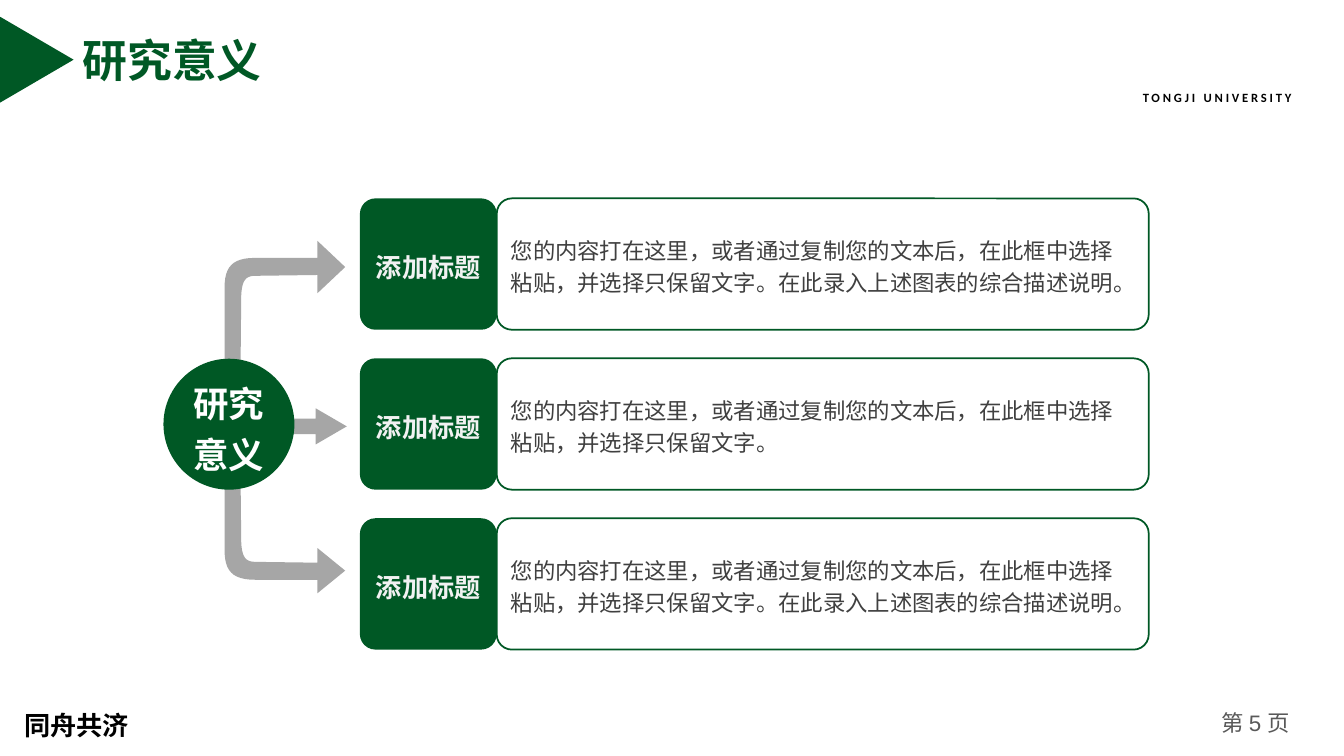
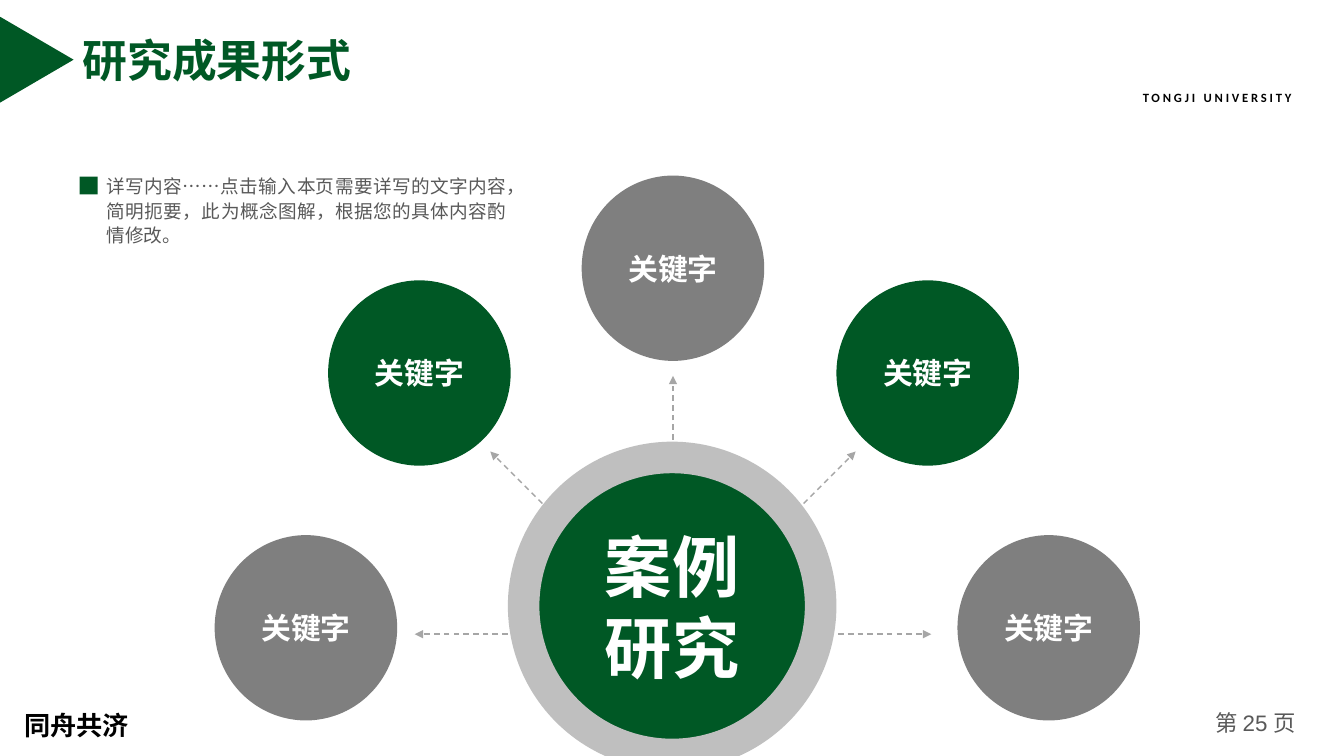
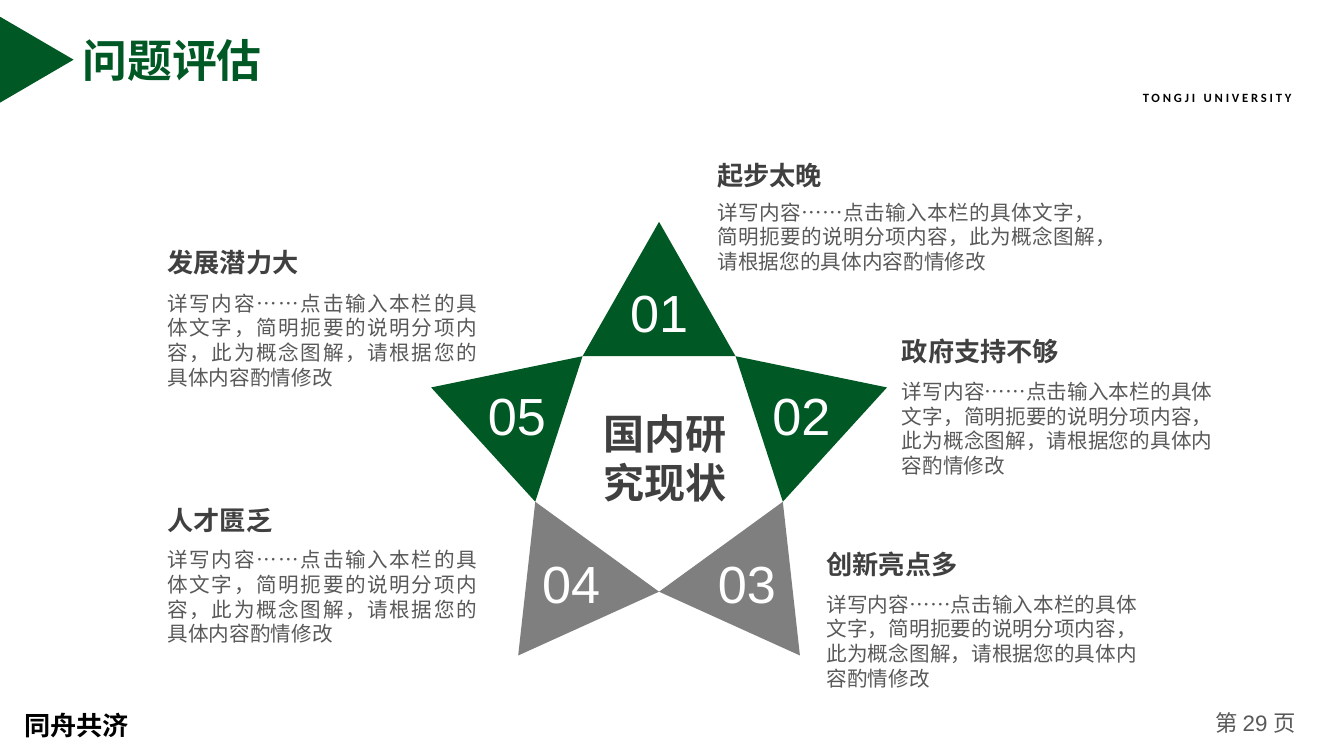
import math

import pptx
import pptx.dml.color
import pptx.enum.dml
import pptx.enum.shapes
import pptx.enum.text
import pptx.oxml.ns
import pptx.util
from lxml import etree

Cm = pptx.util.Cm
Pt = pptx.util.Pt
SHAPE = pptx.enum.shapes.MSO_SHAPE
ALIGN = pptx.enum.text.PP_ALIGN
ANCHOR = pptx.enum.text.MSO_ANCHOR
qn = pptx.oxml.ns.qn

HAN = "Noto Sans CJK SC"
COLORS = {
    "green": "005825", "grey": "7F7F7F", "arrow": "A6A6A6", "ring": "BFBFBF",
    "dark": "404040", "body": "595959", "pale": "F2F2F2",
    "white": "FFFFFF", "black": "000000",
}
NONE = (0, 0)
PAD = (0.25, 0.13)


def tint(name):
    return pptx.dml.color.RGBColor.from_string(COLORS[name])


def write(frame, text, size, color, bold=False, align=ALIGN.LEFT, font=HAN,
          space=None, inset=PAD, anchor=ANCHOR.TOP, track=0):
    """Fill a frame with one paragraph; text is a string or (string, font) pairs."""
    frame.word_wrap = True
    frame.vertical_anchor = anchor
    frame.margin_left = frame.margin_right = Cm(inset[0])
    frame.margin_top = frame.margin_bottom = Cm(inset[1])
    para = frame.paragraphs[0]
    para.alignment = align
    if space:
        para.line_spacing = space
    for words, face in [(text, font)] if isinstance(text, str) else text:
        run = para.add_run()
        run.text = words
        run.font.name = face
        run.font.size = Pt(size)
        run.font.bold = bold
        run.font.color.rgb = tint(color)
        props = run.font._rPr
        props.set("lang", "zh-CN")
        if track:
            props.set("spc", str(track * 100))
        etree.SubElement(props, qn("a:ea")).set("typeface", HAN)


def label(slide, x, y, w, h, text, size, color, **style):
    box = slide.shapes.add_textbox(Cm(x), Cm(y), Cm(w), Cm(h))
    write(box.text_frame, text, size, color, **style)


def paint(shape, fill, line=None):
    shape.shadow.inherit = False
    if fill:
        shape.fill.solid()
        shape.fill.fore_color.rgb = tint(fill)
    else:
        shape.fill.background()
    if line:
        shape.line.color.rgb = tint(line)
        shape.line.width = Pt(1.25)
    else:
        shape.line.fill.background()


def block(slide, kind, x, y, w, h, fill, line=None, adjust=()):
    shape = slide.shapes.add_shape(kind, Cm(x), Cm(y), Cm(w), Cm(h))
    for i, value in enumerate(adjust):
        shape.adjustments[i] = value
    paint(shape, fill, line)
    return shape


def disc(slide, x, y, w, h, fill, text, size, **style):
    """Oval centred on x, y with a bold white label."""
    oval = block(slide, SHAPE.OVAL, x - w / 2, y - h / 2, w, h, fill)
    write(oval.text_frame, text, size, "white", bold=True,
          align=ALIGN.CENTER, anchor=ANCHOR.MIDDLE, **style)


def outline(slide, points, fill):
    first, *rest = [(Cm(x), Cm(y)) for x, y in points]
    form = slide.shapes.build_freeform(*first)
    form.add_line_segments(rest, close=True)
    paint(form.convert_to_shape(), fill)


def curve(a, b, c, d, steps=12):
    """Points along a cubic curve from a to d."""
    points = []
    for i in range(steps + 1):
        t = i / steps
        parts = ((1 - t) ** 3, 3 * t * (1 - t) ** 2, 3 * t * t * (1 - t), t ** 3)
        points.append(tuple(sum(k * p[n] for k, p in zip(parts, (a, b, c, d)))
                            for n in (0, 1)))
    return points


def bend(slide, start, mid, head):
    """Bent arrow from height start to a right-pointing head at height mid."""
    way = 1 if mid > start else -1

    def at(x, off):
        return x, mid + way * off

    points = [(6.05, start)]
    points += curve(at(6.08, -0.72), at(6.1, -0.22), at(6.27, -0.22), at(6.52, -0.22))
    points += [at(8, -0.2), at(8, -head), at(8.7, 0), at(8, head), at(8, 0.23)]
    points += curve(at(6.43, 0.23), at(5.85, 0.23), at(5.66, 0), at(5.66, -0.53))
    points.append((5.66, start))
    outline(slide, points, "arrow")


def ray(slide, x, y, reach, angle):
    """Dashed arrow from x, y; the angle is in degrees, counted upwards."""
    turn = math.radians(angle)
    line = slide.shapes.add_connector(
        pptx.enum.shapes.MSO_CONNECTOR.STRAIGHT, Cm(x), Cm(y),
        Cm(x + reach * math.cos(turn)), Cm(y - reach * math.sin(turn)))
    line.line.color.rgb = tint("arrow")
    line.line.width = Pt(1)
    line.line.dash_style = pptx.enum.dml.MSO_LINE.DASH
    props = line._element.spPr
    etree.SubElement(props.find(qn("a:ln")), qn("a:tailEnd")).set("type", "triangle")
    etree.SubElement(props, qn("a:effectLst"))


def start(deck, title, page):
    """New slide with the title, marker, name and footer that all slides share."""
    slide = deck.slides.add_slide(deck.slide_layouts[5])
    head = slide.shapes.title
    head.left, head.top = Cm(1.75), Cm(0.66)
    head.width, head.height = Cm(1.14 * len(title) + 0.67), Cm(1.7)
    write(head.text_frame, title, 32, "green", bold=True, font="Arial",
          inset=(0.33, 0.18), anchor=ANCHOR.MIDDLE)
    head.text_frame.word_wrap = False
    mark = block(slide, SHAPE.ISOSCELES_TRIANGLE, -0.15, 0.58, 2.16, 1.85, "green")
    mark.rotation = 90
    label(slide, 28.55, 2.13, 4.88, 0.61, "TONGJI UNIVERSITY", 9, "black",
          bold=True, font="Calibri", track=2)
    label(slide, 0.36, 17.35, 3.48, 1.35, "同舟共济", 18.7, "black",
          bold=True, space=1.5)
    label(slide, 30.12, 17.73, 3.05, 1.02,
          [("第 ", HAN), (f"{page} ", "Arial"), ("页", HAN)], 16, "body",
          align=ALIGN.CENTER)
    return slide


def meaning(deck):
    slide = start(deck, "研究意义", 5)
    short = "您的内容打在这里，或者通过复制您的文本后，在此框中选择粘贴，并选择只保留文字。"
    full = short + "在此录入上述图表的综合描述说明。"
    bend(slide, 10.7, 14.38, 0.57)
    block(slide, SHAPE.RIGHT_ARROW, 5.13, 10.29, 3.61, 0.91, "arrow",
          adjust=(0.43, 0.86))
    bend(slide, 10.7, 6.73, 0.66)
    for row, text in enumerate((full, short, full)):
        y = 5 + 4.03 * row
        card = block(slide, SHAPE.ROUNDED_RECTANGLE, 12.52, y, 16.43, 3.31,
                     None, "green", (0.115,))
        write(card.text_frame, text, 16, "dark", space=1.2,
              inset=(0.24, 0.12), anchor=ANCHOR.MIDDLE)
        tab = block(slide, SHAPE.ROUNDED_RECTANGLE, 9.07, y, 3.45, 3.31,
                    "green", adjust=(0.119,))
        write(tab.text_frame, "添加标题", 18.7, "pale", bold=True, space=1.2,
              align=ALIGN.CENTER, inset=(0.24, 0.12), anchor=ANCHOR.MIDDLE)
    disc(slide, 5.77, 10.69, 3.3, 3.3, "green", "研究意义", 25.3,
         font="Arial", space=1.2, inset=(0.2, 0.12))


def results(deck):
    slide = start(deck, "研究成果形式", 25)
    for angle in range(0, 181, 45):
        ray(slide, 16.96, 15.98, 6.51, angle)
    disc(slide, 16.94, 15.27, 6.93, 6.93, "green", "案例研究", 48)
    block(slide, SHAPE.DONUT, 12.8, 11.13, 8.28, 8.28, "ring", adjust=(0.096,))
    spots = ((7.71, 15.82, "grey"), (10.57, 9.4, "green"), (16.96, 6.76, "grey"),
             (23.38, 9.4, "green"), (26.43, 15.82, "grey"))
    for x, y, fill in spots:
        disc(slide, x, y, 4.6, 4.67, fill, "关键字", 21.3)
    block(slide, SHAPE.RECTANGLE, 2.01, 4.45, 0.45, 0.45, "green")
    label(slide, 2.69, 4.37, 10.08, 1.78,
          "详写内容……点击输入本页需要详写的文字内容，简明扼要，此为概念图解，根据您的具体内容酌情修改。",
          13.3, "body", align=ALIGN.JUSTIFY, space=Pt(17.3), inset=NONE)


def issues(deck):
    slide = start(deck, "问题评估", 29)

    def polar(reach, angle):
        """Point around the star's centre, clockwise from the top."""
        turn = math.radians(angle)
        return 16.61 + reach * math.sin(turn), 11.63 - reach * math.cos(turn)

    for i, fill in enumerate(("green", "green", "grey", "grey", "green")):
        angle = 72 * i
        outline(slide, [polar(3.28, angle - 36), polar(6.04, angle),
                        polar(3.28, angle + 36)], fill)
        x, y = polar(3.77, angle)
        label(slide, x - 0.9, y - 0.8, 1.8, 1.6, f"0{i + 1}", 37.3, "white",
              font="Arial", align=ALIGN.CENTER, inset=NONE)
    label(slide, 15.16, 10.29, 3.2, 2.51, "国内研究现状", 29.3, "dark",
          bold=True, align=ALIGN.CENTER, inset=NONE)

    detail = ("详写内容……点击输入本栏的具体文字，简明扼要的说明分项内容，"
              "此为概念图解，请根据您的具体内容酌情修改")
    notes = (("起步太晚", 18.08, 4.01, 9.53, 1.02),
             ("政府支持不够", 22.73, 8.46, 7.82, 1.09),
             ("创新亮点多", 20.83, 13.82, 7.82, 1.09),
             ("人才匮乏", 4.22, 12.7, 7.8, 1.09),
             ("发展潜力大", 4.22, 6.2, 7.8, 1.12))
    for name, x, y, wide, drop in notes:
        label(slide, x, y, 4.67, 0.79, name, 18.7, "dark", bold=True, inset=NONE)
        label(slide, x, y + drop, wide, 2.51, detail, 14.7, "body",
              align=ALIGN.JUSTIFY, inset=NONE)


def main():
    deck = pptx.Presentation()
    deck.slide_width, deck.slide_height = Cm(33.87), Cm(19.05)
    meaning(deck)
    results(deck)
    issues(deck)
    deck.save("out.pptx")


if __name__ == "__main__":
    main()
